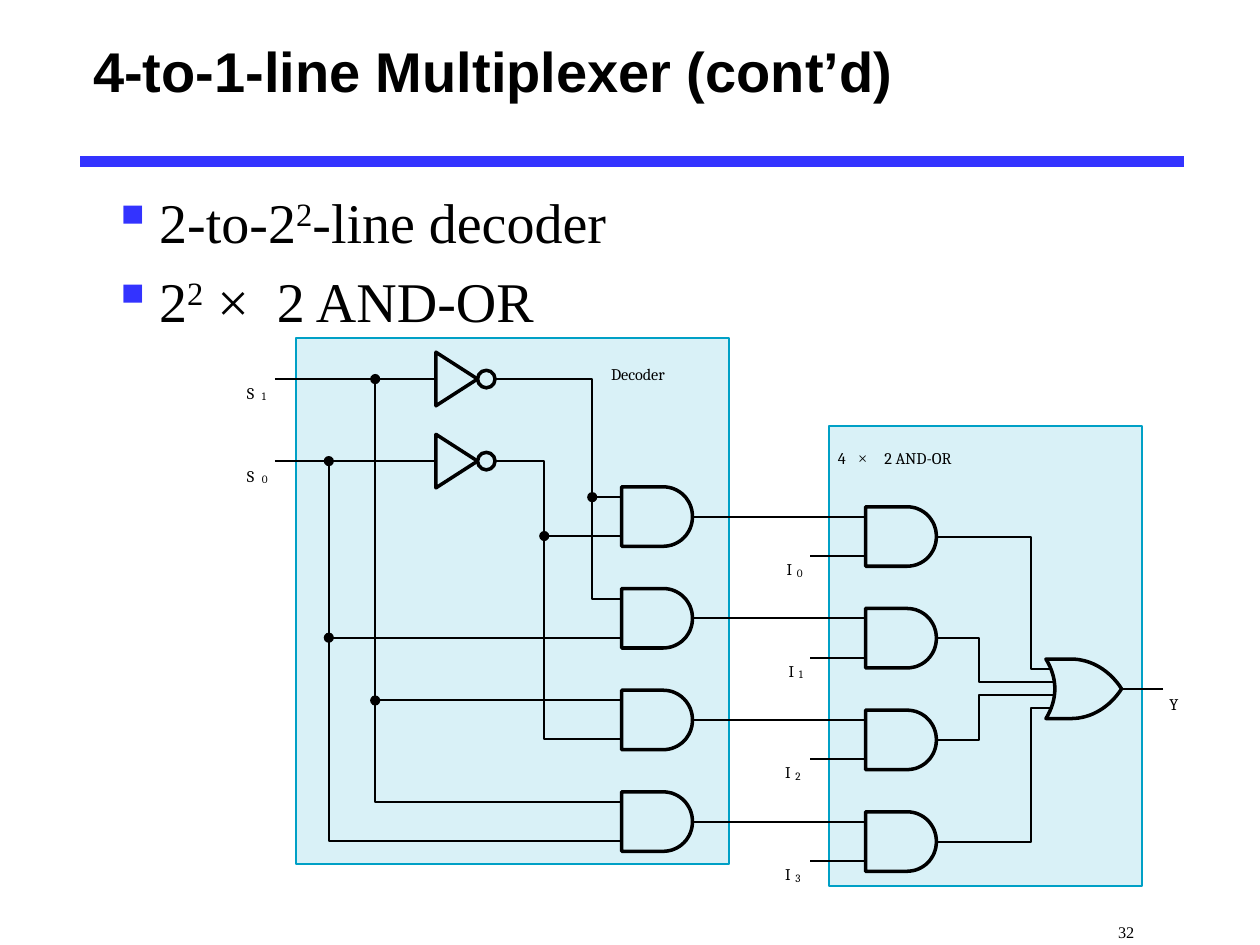
"""Build the slide on the gate circuit of a 4-to-1-line multiplexer."""
from typing import NamedTuple

from lxml.etree import SubElement
from pptx import Presentation
from pptx.dml.color import RGBColor
from pptx.enum.shapes import MSO_CONNECTOR, MSO_SHAPE
from pptx.enum.text import MSO_ANCHOR, PP_ALIGN
from pptx.oxml.ns import qn
from pptx.util import Pt

Point = tuple[float, float]

BLACK, BLUE, PALE, TEAL = "000000", "3333FF", "D9F1F7", "00A0C6"
SERIF, LABEL = "Times New Roman", "Cambria"
THIN, THICK = 1.13, 2
STEP, PIN, HALF = 58.1, 11.1, 17
AND_X, MIX_X, OR_X, OR_Y = 355.2, 494.6, 597.7, 393.6
ROWS = [295.2 + STEP * i for i in range(4)]
DROP = 11.4
S1_Y, S0_Y = 216.6, 263.5
S1_X, S0_X, NOT1_X, NOT0_X = 214.4, 187.9, 338.4, 311


class Panel(NamedTuple):
    left: float
    top: float
    width: float
    height: float


class Label(NamedTuple):
    text: str
    left: float
    top: float
    size: float = 16
    font: str = LABEL


PANELS = [Panel(169.4, 193.4, 247.4, 300.3), Panel(473.7, 243.6, 178.9, 262.8)]
DOTS = [
    (S1_X, S1_Y), (S0_X, S0_Y), (S0_X, ROWS[1] + PIN), (S1_X, ROWS[2] - PIN),
    (NOT0_X, ROWS[0] + PIN), (NOT1_X, ROWS[0] - PIN),
]
NAMES = [
    Label("Decoder", 349.2, 197.3), Label("4", 478.8, 245.5),
    Label("×", 490.3, 245.5, 16, SERIF), Label("2 AND-OR", 505.4, 245.5),
    Label("Y", 668.2, 385.9),
]


def tint(code: str) -> RGBColor:
    return RGBColor.from_string(code)


def style(font, size: float, name: str, bold: bool = False) -> None:
    font.size, font.name, font.bold = Pt(size), name, bold
    font.color.rgb = tint(BLACK)


def dress(shape, fill: str | None, line: str | None, width: float = THIN) -> None:
    shape.shadow.inherit = False
    if fill:
        shape.fill.solid()
        shape.fill.fore_color.rgb = tint(fill)
    else:
        shape.fill.background()
    if line:
        shape.line.color.rgb = tint(line)
        shape.line.width = Pt(width)
    else:
        shape.line.fill.background()


def straight(shapes, start: Point, end: Point, color: str = BLACK, width: float = THIN) -> None:
    ends = [Pt(value) for value in (*start, *end)]
    line = shapes.add_connector(MSO_CONNECTOR.STRAIGHT, *ends)
    line.line.color.rgb = tint(color)
    line.line.width = Pt(width)
    SubElement(line._element.spPr, qn("a:effectLst"))


def outline(shapes, points: list[Point], closed: bool):
    dots = [(Pt(x), Pt(y)) for x, y in points]
    path = shapes.build_freeform(*dots[0], scale=1.0)
    path.add_line_segments(dots[1:], close=closed)
    return path.convert_to_shape()


def wire(shapes, *points: Point) -> None:
    if len(points) == 2:
        straight(shapes, *points)
    else:
        dress(outline(shapes, list(points), False), None, BLACK)


def gate(shapes, left: float, mid: float, points: list[Point]) -> None:
    moved = [(left + x, mid + y) for x, y in points]
    dress(outline(shapes, moved, True), PALE, BLACK, THICK)


def disc(shapes, x: float, y: float, radius: float, fill: str, line: str | None) -> None:
    box = [Pt(v) for v in (x - radius, y - radius, 2 * radius, 2 * radius)]
    dress(shapes.add_shape(MSO_SHAPE.OVAL, *box), fill, line, THICK)


def curve(a: Point, b: Point, c: Point, d: Point, parts: int = 16) -> list[Point]:
    def blend(t: float, axis: int) -> float:
        u = 1 - t
        return (u**3 * a[axis] + 3 * u * u * t * b[axis]
                + 3 * u * t * t * c[axis] + t**3 * d[axis])
    return [(blend(i / parts, 0), blend(i / parts, 1)) for i in range(parts + 1)]


def mirror(points: list[Point]) -> list[Point]:
    return points + [(x, -y) for x, y in reversed(points[:-1])]


def text_box(shapes, left: float, top: float, width: float, height: float, inset: bool = True):
    frame = shapes.add_textbox(Pt(left), Pt(top), Pt(width), Pt(height)).text_frame
    frame.word_wrap = True
    if not inset:
        frame.margin_left = frame.margin_right = frame.margin_top = frame.margin_bottom = 0
    return frame


def add_run(para, text: str, shift: int = 0) -> None:
    run = para.add_run()
    run.text = text
    if shift:
        run._r.get_or_add_rPr().set("baseline", str(shift * 1000))


def low_text(para, text: str, size: float, font: str) -> None:
    style(para.font, size, font)
    add_run(para, text, -25)


def write(shapes, label: Label) -> None:
    wide = label.size * 0.65 * len(label.text)
    frame = text_box(shapes, label.left, label.top, wide, label.size * 1.2, False)
    low_text(frame.paragraphs[0], label.text, label.size, label.font)


def pair(shapes, name: str, index: int, left: float, top: float, gap: float) -> None:
    write(shapes, Label(name, left, top))
    write(shapes, Label(str(index), left + gap, top + 7.1, 11))


def bullet(para, parts: list[tuple[str, int]]) -> None:
    para.space_before = Pt(6.4)
    props = para._p.get_or_add_pPr()
    props.set("marL", str(Pt(27)))
    props.set("indent", str(Pt(-27)))
    SubElement(SubElement(props, qn("a:buClr")), qn("a:srgbClr"), val=BLUE)
    SubElement(props, qn("a:buChar"), char="▪")
    style(para.font, 32, SERIF)
    for text, shift in parts:
        add_run(para, text, shift)


def draw_text(slide) -> None:
    title = slide.shapes.title
    title.left, title.top, title.width, title.height = Pt(46), Pt(0), Pt(650), Pt(80.6)
    title.text_frame.text = "4-to-1-line Multiplexer (cont’d)"
    title.text_frame.vertical_anchor = MSO_ANCHOR.MIDDLE
    para = title.text_frame.paragraphs[0]
    para.alignment = PP_ALIGN.LEFT
    style(para.font, 32, "Arial", True)
    straight(slide.shapes, (46, 92.2), (676.8, 92.2), BLUE, 6)
    body = text_box(slide.shapes, 56.9, 103.7, 612, 396)
    bullet(body.paragraphs[0], [("2-to-2", 0), ("2", 30), ("-line decoder", 0)])
    bullet(body.add_paragraph(), [("2", 0), ("2", 30), (" ×  2 AND-OR", 0)])
    page = text_box(slide.shapes, 568.8, 512.6, 86.4, 27).paragraphs[0]
    page.alignment = PP_ALIGN.RIGHT
    low_text(page, "32", 16, SERIF)


def draw_wires(shapes) -> None:
    end = AND_X + 10
    wire(shapes, (157, S1_Y), (NOT1_X, S1_Y), (NOT1_X, ROWS[1] - PIN), (end, ROWS[1] - PIN))
    wire(shapes, (157, S0_Y), (NOT0_X, S0_Y), (NOT0_X, ROWS[2] + PIN), (end, ROWS[2] + PIN))
    wire(shapes, (S1_X, S1_Y), (S1_X, ROWS[3] - PIN), (end, ROWS[3] - PIN))
    wire(shapes, (S0_X, S0_Y), (S0_X, ROWS[3] + PIN), (end, ROWS[3] + PIN))
    for x, y in DOTS[2:]:
        wire(shapes, (x, y), (end, y))
    for i, (row, bend) in enumerate(zip(ROWS, (589, 559.4, 559.4, 589))):
        mid, port = row + DROP, OR_Y + 7.45 * (i - 1.5)
        wire(shapes, (391.7, row), (506.9, row))
        wire(shapes, (463, mid + PIN), (502, mid + PIN))
        wire(shapes, (608, port), (bend, port), (bend, mid), (522.7, mid))
    wire(shapes, (664.6, OR_Y), (622.8, OR_Y))


def draw_gates(shapes) -> None:
    both = mirror([(0, -HALF), *curve((23.7, -HALF), (33.1, -HALF), (40.5, -9.4), (40.5, 0))])
    front = mirror(curve((14.4, -HALF), (25.9, -HALF), (36.7, -10.3), (43.2, 0)))
    back = curve((0, HALF), (6.8, 6), (6.8, -6), (0, -HALF))
    for row in ROWS:
        gate(shapes, AND_X, row, both)
        gate(shapes, MIX_X, row + DROP, both)
    gate(shapes, OR_X, OR_Y, front + back)
    for mid in (S1_Y, S0_Y):
        gate(shapes, 249.1, mid, [(0, -15.3), (0, 15.3), (23.8, 0)])
        disc(shapes, 277.9, mid, 5, PALE, BLACK)
    for x, y in DOTS:
        disc(shapes, x, y, 2.9, BLACK, None)


def main() -> None:
    deck = Presentation()
    deck.slide_width, deck.slide_height = Pt(720), Pt(540)
    slide = deck.slides.add_slide(deck.slide_layouts[5])
    shapes = slide.shapes
    draw_text(slide)
    for panel in PANELS:
        dress(shapes.add_shape(MSO_SHAPE.RECTANGLE, *map(Pt, panel)), PALE, TEAL)
    draw_wires(shapes)
    draw_gates(shapes)
    for name in NAMES:
        write(shapes, name)
    for index, top in ((1, 208.1), (0, 255.6)):
        pair(shapes, "S", index, 141.1, top, 8.6)
    for index, left in enumerate((449.5, 450.6, 448.6, 448.6)):
        pair(shapes, "I", index, left, ROWS[index] + 13.7, 5.9)
    deck.save("out.pptx")


if __name__ == "__main__":
    main()
